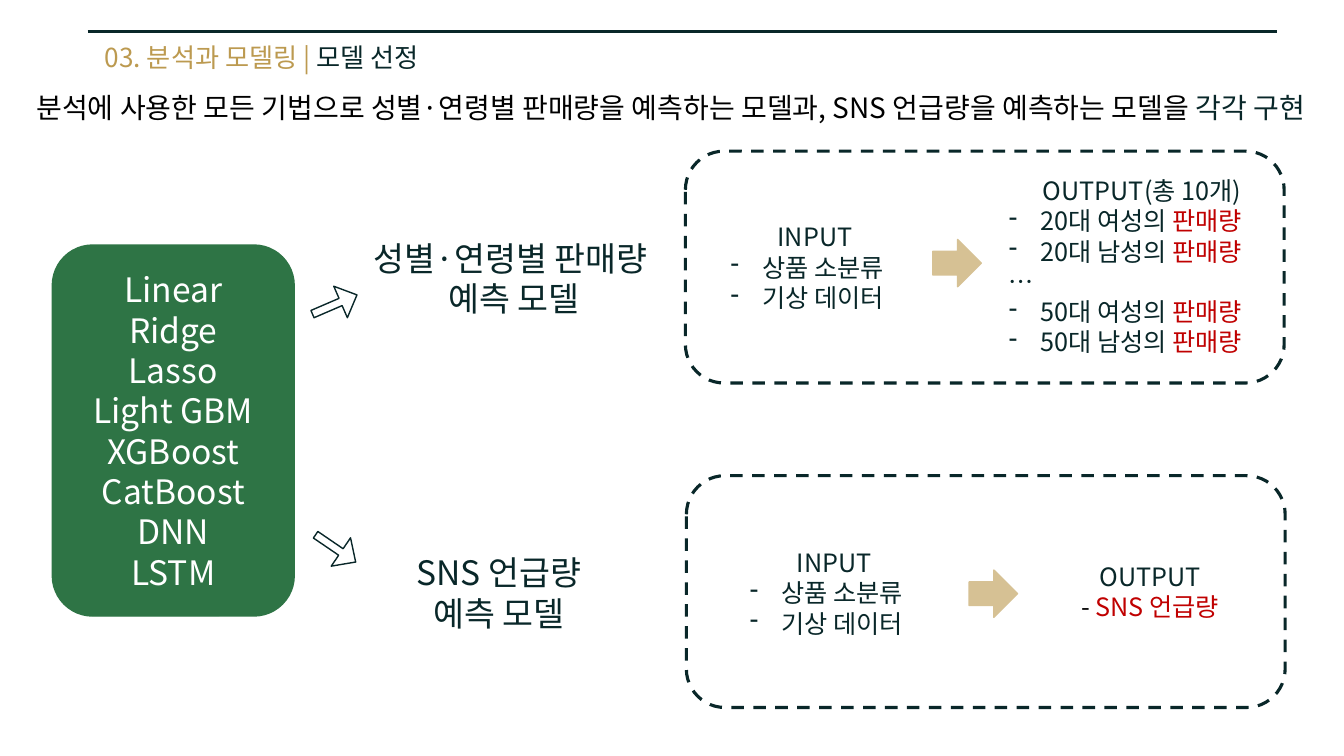
from dataclasses import dataclass
from typing import NamedTuple

from lxml import etree
from pptx import Presentation
from pptx.dml import color
from pptx.enum import dml, shapes, text
from pptx.oxml import ns
from pptx.util import Pt

FONT = "Noto Sans CJK KR"
COLORS = {
    "black": "000000",
    "white": "FFFFFF",
    "ink": "092729",
    "gold": "BC9A50",
    "sand": "D6C194",
    "green": "2E7445",
    "red": "C00000",
}


class Span(NamedTuple):
    words: str
    tint: str = "ink"


@dataclass
class Para:
    spans: list[Span]
    centred: bool = False
    dashed: bool = False


@dataclass
class Label:
    left: float
    top: float
    width: float
    height: float
    paras: list[Para]
    size: float = 18


@dataclass
class Figure:
    kind: shapes.MSO_SHAPE
    left: float
    top: float
    width: float
    height: float
    fill: str | None = None
    line: str = "ink"
    weight: float = 1
    dash: bool = False
    rotation: float = 0
    adjustments: tuple[float, ...] = ()


def rgb(name: str) -> color.RGBColor:
    return color.RGBColor.from_string(COLORS[name])


def centred(words: str, tint: str = "ink") -> Para:
    return Para([Span(words, tint)], centred=True)


def item(words: str, marked: str = "") -> Para:
    """Dash-bulleted paragraph, with an optional red ending."""
    spans = [Span(words)] + ([Span(marked, "red")] if marked else [])
    return Para(spans, dashed=True)


def add_dash(paragraph) -> None:
    properties = paragraph._p.get_or_add_pPr()
    properties.set("marL", str(Pt(22.5)))
    properties.set("indent", str(-Pt(22.5)))
    etree.SubElement(properties, ns.qn("a:buFontTx"))
    etree.SubElement(properties, ns.qn("a:buChar")).set("char", "-")


def write_text(frame, paras: list[Para], *, size: float) -> None:
    for index, para in enumerate(paras):
        paragraph = frame.add_paragraph() if index else frame.paragraphs[0]
        if para.dashed:
            add_dash(paragraph)
        paragraph.alignment = text.PP_ALIGN.CENTER if para.centred else text.PP_ALIGN.LEFT
        paragraph.line_spacing = Pt(round(size * 1.2, 1))
        for span in para.spans:
            run = paragraph.add_run()
            run.text = span.words
            run.font.size = Pt(size)
            run.font.name = FONT
            run.font.color.rgb = rgb(span.tint)
            east_asian = etree.SubElement(run._r.get_or_add_rPr(), ns.qn("a:ea"))
            east_asian.set("typeface", FONT)


def draw_label(page, label: Label) -> None:
    box = page.shapes.add_textbox(
        Pt(label.left), Pt(label.top), Pt(label.width), Pt(label.height))
    box.text_frame.word_wrap = True
    box.text_frame.auto_size = text.MSO_AUTO_SIZE.SHAPE_TO_FIT_TEXT
    write_text(box.text_frame, label.paras, size=label.size)


def draw_figure(page, figure: Figure):
    shape = page.shapes.add_shape(
        figure.kind, Pt(figure.left), Pt(figure.top), Pt(figure.width), Pt(figure.height))
    shape.shadow.inherit = False
    shape.rotation = figure.rotation
    for index, value in enumerate(figure.adjustments):
        shape.adjustments[index] = value
    if figure.fill:
        shape.fill.solid()
        shape.fill.fore_color.rgb = rgb(figure.fill)
    else:
        shape.fill.background()
    shape.line.color.rgb = rgb(figure.line)
    shape.line.width = Pt(figure.weight)
    if figure.dash:
        shape.line.dash_style = dml.MSO_LINE.DASH
    return shape


def draw_rule(page, left: float, right: float, top: float) -> None:
    rule = page.shapes.add_connector(
        shapes.MSO_CONNECTOR.STRAIGHT, Pt(left), Pt(top), Pt(right), Pt(top))
    rule.line.color.rgb = rgb("ink")
    rule.line.width = Pt(2.25)
    etree.SubElement(rule._element.spPr, ns.qn("a:effectLst"))


ROUNDED = shapes.MSO_SHAPE.ROUNDED_RECTANGLE
ARROW = shapes.MSO_SHAPE.DOWN_ARROW
MODELS = ["Linear", "Ridge", "Lasso", "Light GBM", "XGBoost", "CatBoost", "DNN", "LSTM"]
SALES = "판매량"
INPUT = [centred("INPUT"), item("상품 소분류"), item("기상 데이터")]

LABELS = [
    Label(67.7, 25.9, 358.6, 30.2,
          [Para([Span("03. 분석과 모델링 | ", "gold"), Span("모델 선정")])], size=18.7),
    Label(14.4, 61.2, 942.5, 31.7,
          [Para([Span(" 분석에 사용한 모든 기법으로 성별·연령별 판매량을 예측하는 모델과, "
                      "SNS 언급량을 예측하는 모델을 ", "black"), Span("각각 구현")])], size=20),
    Label(205.9, 166.3, 322.6, 65.5,
          [centred("성별·연령별 판매량 "), centred("예측 모델")], size=24),
    Label(249.8, 391, 213.1, 65.5, [centred("SNS 언급량"), centred("예측 모델")], size=24),
    Label(514.8, 154.8, 134.6, 72.7, INPUT),
    Label(528.5, 387.4, 134.6, 72.7, INPUT),
    Label(713.5, 121.7, 204.5, 138.2,
          [centred("OUTPUT(총 10개)"),
           item("20대 여성의 ", SALES), item("20대 남성의 ", SALES),
           Para([Span("…")]),
           item("50대 여성의 ", SALES), item("50대 남성의 ", SALES)]),
    Label(719.3, 397.4, 204.5, 51.1,
          [centred("OUTPUT"),
           Para([Span("- ", "black"), Span("SNS 언급량", "red")], centred=True)]),
]

FIGURES = [
    Figure(ROUNDED, 489.6, 108, 427.7, 165.6, weight=2.25, dash=True),
    Figure(ROUNDED, 490.3, 339.8, 427.7, 165.6, weight=2.25, dash=True),
    Figure(ARROW, 666.7, 170.6, 33.8, 34.6, fill="sand", line="sand", rotation=270),
    Figure(ARROW, 692.6, 406.8, 33.8, 34.6, fill="sand", line="sand", rotation=270),
    Figure(ARROW, 226.8, 200.2, 24.5, 34.6, rotation=246.7, adjustments=(0.23, 0.52)),
    Figure(ARROW, 227.5, 374.4, 24.5, 34.6, rotation=304.3, adjustments=(0.23, 0.52)),
]
MODEL_PANEL = Figure(ROUNDED, 37.4, 175, 172.8, 265, fill="green", line="green")


def main() -> None:
    deck = Presentation()
    deck.slide_width, deck.slide_height = Pt(960), Pt(540)
    page = deck.slides.add_slide(deck.slide_layouts[6])

    draw_rule(page, 62.6, 912.2, 22.3)
    for label in LABELS:
        draw_label(page, label)
    for figure in FIGURES:
        draw_figure(page, figure)

    panel = draw_figure(page, MODEL_PANEL)
    panel.text_frame.vertical_anchor = text.MSO_ANCHOR.MIDDLE
    write_text(panel.text_frame, [centred(name, "white") for name in MODELS], size=24)

    deck.save("out.pptx")


if __name__ == "__main__":
    main()
